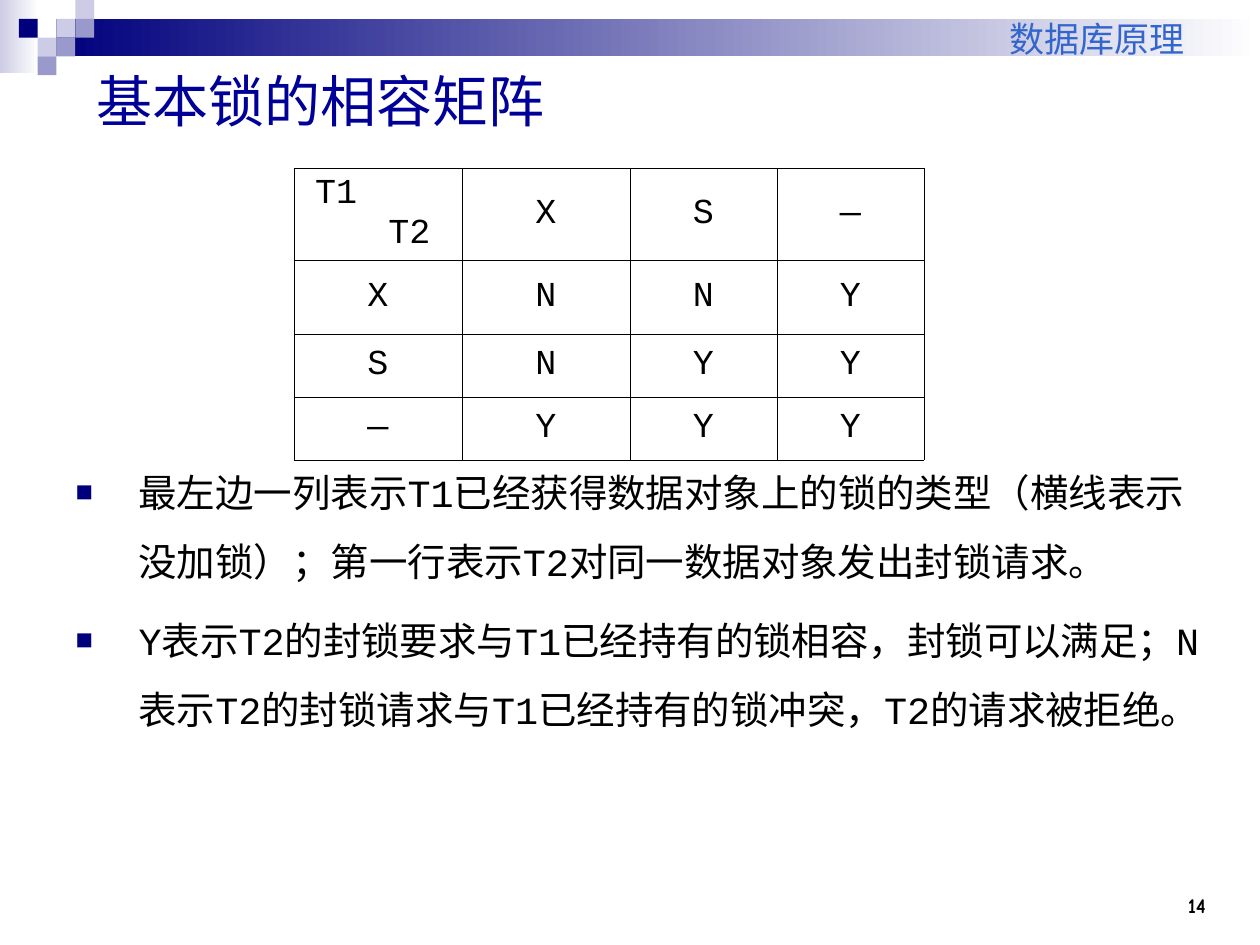
from dataclasses import dataclass

from lxml.etree import SubElement
from pptx import Presentation
from pptx.dml.color import RGBColor
from pptx.enum.shapes import MSO_SHAPE
from pptx.enum.text import MSO_ANCHOR, MSO_AUTO_SIZE, PP_ALIGN
from pptx.oxml.ns import qn
from pptx.util import Pt


@dataclass(frozen=True)
class Theme:
    navy: str = "00007D"
    violet: str = "9999CC"
    lilac: str = "CCCCE6"
    white: str = "FFFFFF"
    ink: str = "000000"
    title: str = "000099"
    course: str = "3366CC"
    heading_font: str = "Comic Neue"
    body_font: str = "Courier New"
    title_size: float = 32
    body_size: float = 22
    label_size: float = 20
    number_size: float = 12
    border: float = 0.45


THEME = Theme()
SQUARE = 10.75  # side of one header square
# Column, row and colour of each header square
SQUARES = [
    (3, 1, THEME.lilac), (4, 0, THEME.lilac), (4, 1, THEME.violet),
    (2, 2, THEME.lilac), (1, 1, THEME.navy), (3, 2, THEME.violet),
    (2, 3, THEME.violet),
]
LOCKS = ["X", "S", "—"]
COMPATIBLE = ["NNY", "NYY", "YYY"]
POINTS = [
    "最左边一列表示T1已经获得数据对象上的锁的类型（横线表示没加锁）；第一行表示T2对同一数据对象发出封锁请求。",
    "Y表示T2的封锁要求与T1已经持有的锁相容，封锁可以满足；N表示T2的封锁请求与T1已经持有的锁冲突，T2的请求被拒绝。",
]


def apply(obj, values):
    for name, value in values.items():
        setattr(obj, name, value)


def place(sp, left, top, width, height):
    apply(sp, dict(left=Pt(left), top=Pt(top), width=Pt(width), height=Pt(height)))


def write(p, text, size, color, font=THEME.heading_font, bold=False, **layout):
    r = p.add_run()
    r.text = text
    apply(r.font, dict(size=Pt(size), name=font, bold=bold))
    r.font.color.rgb = RGBColor.from_string(color)
    apply(p, layout)


def add_rect(slide, box, *colors):
    """One colour gives a solid fill, two give a left-to-right gradient."""
    sp = slide.shapes.add_shape(MSO_SHAPE.RECTANGLE, *map(Pt, box))
    sp.shadow.inherit = False
    sp.line.fill.background()
    if len(colors) == 1:
        sp.fill.solid()
        sp.fill.fore_color.rgb = RGBColor.from_string(colors[0])
        return
    sp.fill.gradient()
    sp.fill.gradient_angle = 0
    for position, (stop, color) in enumerate(zip(sp.fill.gradient_stops, colors)):
        stop.position = position
        stop.color.rgb = RGBColor.from_string(color)


def add_label(slide, box, text, size, color, margin_right=7.2, bold=False):
    tf = slide.shapes.add_textbox(*map(Pt, box)).text_frame
    apply(tf, dict(word_wrap=True, vertical_anchor=MSO_ANCHOR.BOTTOM,
                   margin_right=Pt(margin_right)))
    write(tf.paragraphs[0], text, size, color, bold=bold, alignment=PP_ALIGN.RIGHT)


def add_header(slide):
    add_rect(slide, (0, 0, 22, 42), THEME.lilac, THEME.white)
    add_rect(slide, (3 * SQUARE, SQUARE, 720 - 3 * SQUARE, 2 * SQUARE),
             THEME.navy, THEME.white)
    for col, row, color in SQUARES:
        add_rect(slide, (col * SQUARE, row * SQUARE, SQUARE, SQUARE), color)


def fill_title(sp, text):
    place(sp, 48, 30, 648, 54)
    tf = sp.text_frame
    apply(tf, dict(vertical_anchor=MSO_ANCHOR.MIDDLE, auto_size=MSO_AUTO_SIZE.NONE))
    write(tf.paragraphs[0], text, THEME.title_size, THEME.title,
          alignment=PP_ALIGN.LEFT)


def add_bullet(p):
    pPr = p._p.get_or_add_pPr()
    indents = {"marL": Pt(36), "indent": Pt(-36), "hangingPunct": 0}
    for name, value in indents.items():
        pPr.set(name, str(value))
    color = SubElement(pPr, qn("a:buClr"))
    SubElement(color, qn("a:srgbClr"), val=THEME.navy)
    SubElement(pPr, qn("a:buSzPct"), val="75000")
    SubElement(pPr, qn("a:buChar"), char="■")


def fill_body(sp, points):
    place(sp, 36, 251, 660, 253)
    tf = sp.text_frame
    tf.auto_size = MSO_AUTO_SIZE.NONE
    for i, text in enumerate(points):
        p = tf.add_paragraph() if i else tf.paragraphs[0]
        add_bullet(p)
        write(p, text, THEME.body_size, THEME.ink, THEME.body_font,
              line_spacing=1.5, space_before=Pt(5.5 if i else 0))


def style_cell(cell):
    cell.vertical_anchor = MSO_ANCHOR.MIDDLE
    tcPr = cell._tc.get_or_add_tcPr()
    for side in ("lnL", "lnR", "lnT", "lnB"):
        ln = SubElement(tcPr, qn(f"a:{side}"), w=str(Pt(THEME.border)))
        SubElement(SubElement(ln, qn("a:solidFill")), qn("a:srgbClr"), val=THEME.ink)
    cell.fill.background()


def write_cell(p, text, alignment=PP_ALIGN.CENTER):
    write(p, text, THEME.label_size, THEME.ink, THEME.body_font, alignment=alignment)


def add_matrix(slide):
    widths, heights = [96, 96, 84, 84], [42, 42, 36, 36]
    table = slide.shapes.add_table(
        len(heights), len(widths), Pt(168), Pt(96),
        Pt(sum(widths)), Pt(sum(heights))).table
    apply(table, dict(first_row=False, horz_banding=False))
    for col, width in zip(table.columns, widths):
        col.width = Pt(width)
    for row, height in zip(table.rows, heights):
        row.height = Pt(height)
    for cell in table.iter_cells():
        style_cell(cell)

    # Corner cell: T1 names the rows, T2 names the columns
    corner = table.cell(0, 0)
    apply(corner, dict(margin_left=Pt(12), margin_right=Pt(18),
                       margin_top=Pt(2.4), margin_bottom=Pt(2.4)))
    tf = corner.text_frame
    write_cell(tf.paragraphs[0], "T1", PP_ALIGN.LEFT)
    write_cell(tf.add_paragraph(), "T2", PP_ALIGN.RIGHT)

    # Lock names, then the compatibility of each pair
    rows = [LOCKS] + [[lock, *flags] for lock, flags in zip(LOCKS, COMPATIBLE)]
    for r, texts in enumerate(rows):
        for c, text in enumerate(texts, start=0 if r else 1):
            write_cell(table.cell(r, c).text_frame.paragraphs[0], text)


def main():
    prs = Presentation()
    apply(prs, dict(slide_width=Pt(720), slide_height=Pt(540)))
    slide = prs.slides.add_slide(prs.slide_layouts[1])

    # Header band, course name and page number
    add_header(slide)
    add_label(slide, (276, 0, 426, 37.5), "数据库原理", THEME.label_size,
              THEME.course, margin_right=25)
    add_label(slide, (636, 492, 60, 36), "14", THEME.number_size,
              THEME.ink, bold=True)

    # Title, lock matrix and explanation
    fill_title(slide.shapes.title, "基本锁的相容矩阵")
    add_matrix(slide)
    fill_body(slide.placeholders[1], POINTS)
    prs.save("out.pptx")


if __name__ == "__main__":
    main()
